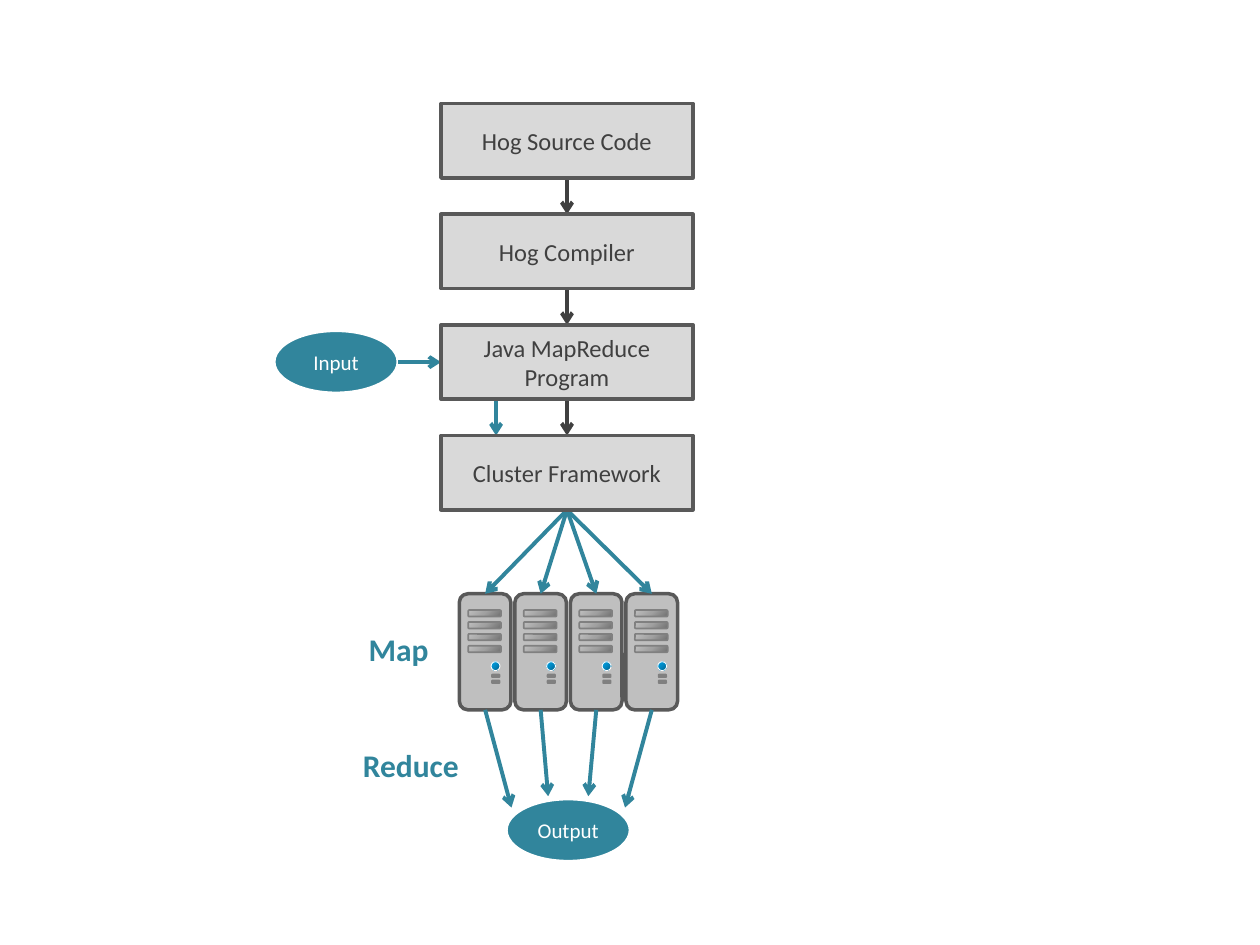
"""Builds the slide showing how a Hog program runs on a MapReduce cluster."""
from lxml.etree import SubElement
from pptx import Presentation
from pptx.dml.color import RGBColor
from pptx.enum.shapes import MSO_CONNECTOR, MSO_SHAPE
from pptx.enum.text import MSO_ANCHOR, PP_ALIGN
from pptx.oxml.ns import qn
from pptx.util import Cm, Pt

COLORS = {
    "teal": "31859C", "white": "FFFFFF", "box": "D9D9D9", "border": "595959",
    "dark": "404040", "server": "BFBFBF", "trim": "808080",
}
BAY_STOPS = ["717171", "A1A1A1", "BFBFBF"]
LIGHT_STOPS = ["006189", "008AC4", "00A4E8"]

STAGES = ["Hog Source Code", "Hog Compiler", "Java MapReduce Program", "Cluster Framework"]
ENDPOINTS = [("Input", 5.52, 6.66), ("Output", 10.2, 16.1)]
PHASES = [("Map", 7.14, 12.57, 1.75), ("Reduce", 6.73, 14.91, 2.77)]
OUTPUT_TIPS = [(10.31, 16.28), (11.05, 16.05), (11.86, 16.05), (12.6, 16.28)]

STAGE_LEFT, STAGE_TOP, STAGE_PITCH = 8.89, 2.09, 2.23
STAGE_WIDTH, STAGE_HEIGHT = 5.08, 1.5
CENTER = STAGE_LEFT + STAGE_WIDTH / 2
SERVER_LEFT, SERVER_TOP, SERVER_PITCH = 9.26, 11.97, 1.12
SERVER_WIDTH, SERVER_HEIGHT = 1.04, 2.34
BAY_COUNT, BAY_PITCH = 4, 0.24
PORT_TOPS = [1.63, 1.75]


def color(name):
    return RGBColor.from_string(COLORS[name])


def write(shape, text, size=14, ink="dark", bold=False, align=PP_ALIGN.CENTER,
          anchor=MSO_ANCHOR.MIDDLE, side_margin=0.25):
    frame = shape.text_frame
    frame.word_wrap = True
    frame.vertical_anchor = anchor
    frame.margin_left = Cm(side_margin)
    paragraph = frame.paragraphs[0]
    paragraph.alignment = align
    run = paragraph.add_run()
    run.text = text
    run.font.name, run.font.size, run.font.bold = "Calibri", Pt(size), bold
    run.font.color.rgb = color(ink)


def add_part(kind, left, top, width, height, fill, line, weight):
    part = slide.shapes.add_shape(kind, Cm(left), Cm(top), Cm(width), Cm(height))
    part.shadow.inherit = False
    part.fill.solid()
    part.fill.fore_color.rgb = color(fill)
    part.line.color.rgb = color(line)
    part.line.width = Pt(weight)
    return part


def shade(part, stops, radial=False):
    part.fill.gradient()
    gradient = part.fill._xPr.find(qn("a:gradFill"))
    for child in list(gradient):
        gradient.remove(child)
    stop_list = SubElement(gradient, qn("a:gsLst"))
    for index, value in enumerate(stops):
        stop = SubElement(stop_list, qn("a:gs"), pos=str(index * 50000))
        SubElement(stop, qn("a:srgbClr"), val=value)
    if radial:
        circle = SubElement(gradient, qn("a:path"), {"path": "circle"})
        SubElement(circle, qn("a:fillToRect"), l="100000", t="100000")
    else:
        SubElement(gradient, qn("a:lin"), ang="13500000", scaled="0")


def add_arrow(start, end, ink="teal"):
    points = [Cm(value) for value in (*start, *end)]
    arrow = slide.shapes.add_connector(MSO_CONNECTOR.STRAIGHT, *points)
    arrow.line.color.rgb = color(ink)
    arrow.line.width = Pt(2.25)
    SubElement(arrow.line._get_or_add_ln(), qn("a:tailEnd"), type="arrow")
    SubElement(arrow._element.spPr, qn("a:effectLst"))


def add_server(left, top):
    rounded = MSO_SHAPE.ROUNDED_RECTANGLE
    add_part(rounded, left, top, SERVER_WIDTH, SERVER_HEIGHT, "server", "border", 2)
    for bay in range(BAY_COUNT):
        bay_top = top + 0.33 + bay * BAY_PITCH
        shade(add_part(rounded, left + 0.18, bay_top, 0.66, 0.13, "server", "trim", 1), BAY_STOPS)
    light = add_part(MSO_SHAPE.OVAL, left + 0.64, top + 1.37, 0.18, 0.18, "teal", "white", 0.5)
    shade(light, LIGHT_STOPS, radial=True)
    for port_top in PORT_TOPS:
        add_part(rounded, left + 0.66, top + port_top, 0.15, 0.05, "trim", "trim", 1)


presentation = Presentation()
presentation.slide_width, presentation.slide_height = Cm(25.4), Cm(19.05)
slide = presentation.slides.add_slide(presentation.slide_layouts[6])

stage_tops = [STAGE_TOP + index * STAGE_PITCH for index in range(len(STAGES))]
stage_bottoms = [top + STAGE_HEIGHT for top in stage_tops]
server_lefts = [SERVER_LEFT + index * SERVER_PITCH for index in range(len(OUTPUT_TIPS))]

for label, left, top in ENDPOINTS:
    oval = add_part(MSO_SHAPE.OVAL, left, top, 2.51, 1.27, "teal", "white", 2)
    oval.text_frame.margin_right = 0
    write(oval, label, size=12, ink="white", side_margin=0)

for left in server_lefts:
    add_server(left, SERVER_TOP)

for bottom, next_top in zip(stage_bottoms, stage_tops[1:]):
    add_arrow((CENTER, bottom), (CENTER, next_top), "dark")
program_middle = stage_tops[2] + STAGE_HEIGHT / 2
add_arrow((8.03, program_middle), (STAGE_LEFT, program_middle))
add_arrow((10.0, stage_bottoms[2]), (10.0, stage_tops[3]))
for left, tip in zip(server_lefts, OUTPUT_TIPS):
    middle = left + SERVER_WIDTH / 2
    add_arrow((CENTER, stage_bottoms[3]), (middle, SERVER_TOP))
    add_arrow((middle, SERVER_TOP + SERVER_HEIGHT), tip)

for label, top in zip(STAGES, stage_tops):
    box = add_part(MSO_SHAPE.RECTANGLE, STAGE_LEFT, top, STAGE_WIDTH, STAGE_HEIGHT,
                   "box", "border", 2)
    write(box, label)

for label, left, top, width in PHASES:
    phase = slide.shapes.add_textbox(Cm(left), Cm(top), Cm(width), Cm(1.02))
    write(phase, label, size=18, ink="teal", bold=True, align=PP_ALIGN.RIGHT,
          anchor=MSO_ANCHOR.TOP, side_margin=0)

presentation.save("out.pptx")
